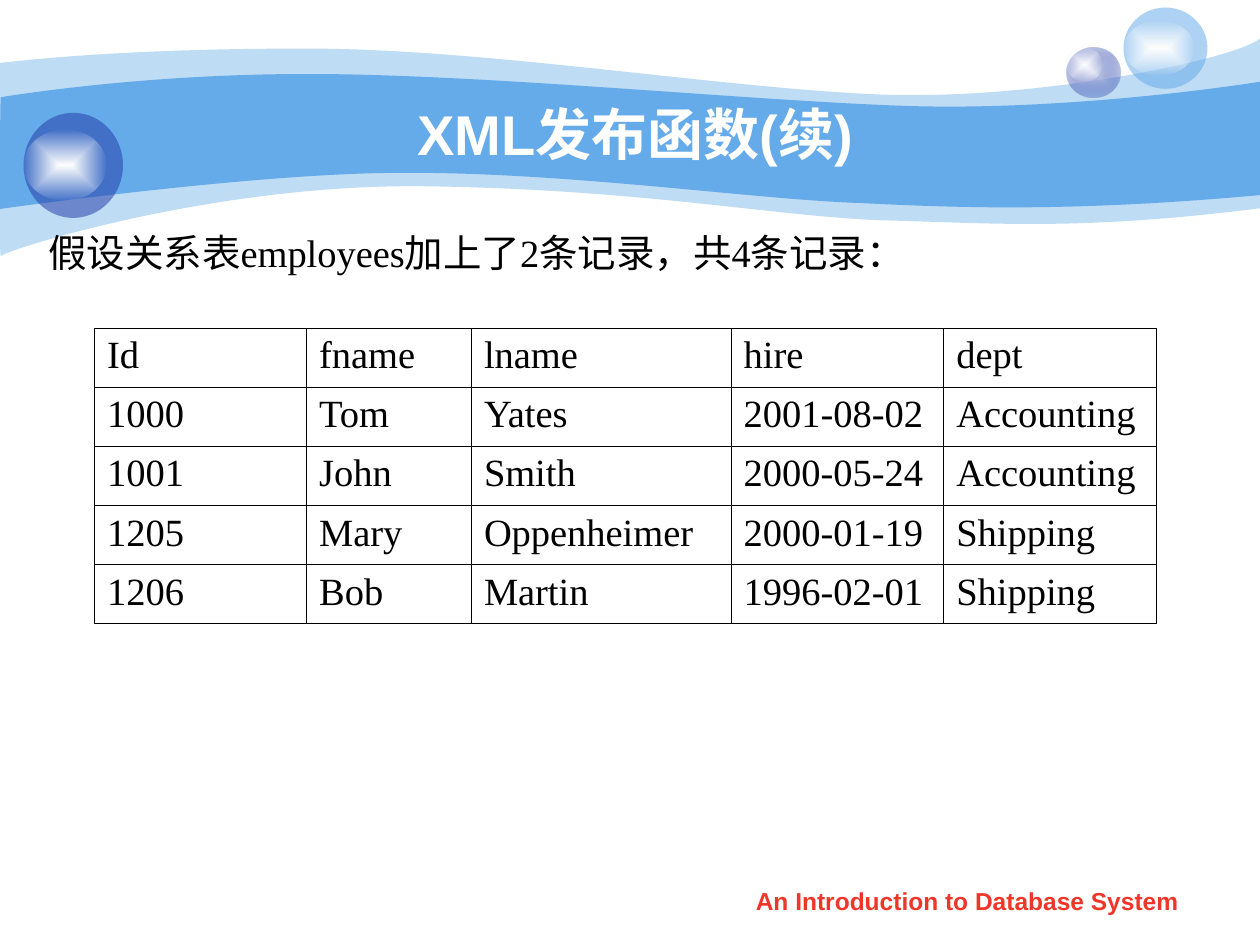
from dataclasses import dataclass

from lxml import etree
from pptx import Presentation
from pptx import util as u
from pptx.dml.color import RGBColor
from pptx.enum import shapes, text
from pptx.oxml.ns import qn

Pt = u.Pt
COLORS = {"sky": "65AAE9", "navy": "233DA9", "mist": "C7CEE9",
          "white": "FFFFFF", "black": "000000", "red": "F03628"}
SERIF, SANS = "Times New Roman", "Arial"


@dataclass(frozen=True)
class Wave:
    start: tuple
    segments: tuple
    alpha: int


@dataclass(frozen=True)
class Ball:
    box: tuple
    stops: tuple


@dataclass(frozen=True)
class Label:
    words: str
    box: tuple
    size: float
    font: str
    color: str
    bold: bool = True
    align: text.PP_ALIGN = text.PP_ALIGN.CENTER
    anchor: text.MSO_ANCHOR = text.MSO_ANCHOR.MIDDLE
    wrap: bool = True


GLOW = (("white", 100), ("white", 0))
WAVES = (
    Wave((0, 36), (
        ((17, 34), (77, 27.5), (178, 27.8)), ((278, 28), (414, 50.5), (503, 54)),
        ((592, 57.5), (706, 34), (720, 22)), ((720, 119),),
        ((618, 132), (567, 127.5), (508, 126)), ((448, 124.5), (371, 108.5), (247, 106.5)),
        ((124, 104), (3, 143), (0.5, 146.3)), ((-0.5, 149.8), (0, 54), (0, 36))), 41),
    Wave((0.5, 55.5), (
        ((1.5, 55.5), (79, 42), (178.5, 42.3)), ((278, 42.5), (428, 57.5), (517, 60.5)),
        ((605.5, 63.5), (703, 49.5), (720, 46.7)), ((720, 111.5),),
        ((614, 121), (551, 119), (491, 116)), ((431, 114), (322, 98), (228, 98.8)),
        ((146, 98.8), (-1.5, 119.5), (-0.5, 119.5)), ((0, 119.5), (0, 55.5), (0.5, 55.5))), 100),
)
BALLS = (
    Ball((609.5, 27, 31, 29), (("mist", 100), ("navy", 31))),
    Ball((609.5, 27, 20.5, 19.5), GLOW),
    Ball((642, 4.3, 48, 46.5), (("sky", 53),)),
    Ball((642, 12, 40.3, 31), GLOW),
    Ball((13.5, 64.5, 56.8, 60), (("navy", 53),)),
    Ball((13.5, 74.2, 47.5, 40.3), GLOW),
)
LABELS = (
    Label("An Introduction to Database System", (410.8, 502.5, 284, 25), 14, SANS, "red",
          anchor=text.MSO_ANCHOR.TOP),
    Label("XML发布函数(续)", (72, 54, 582, 44.6), 32, SANS, "white"),
    Label("假设关系表employees加上了2条记录，共4条记录：", (20.6, 127, 535, 34), 22, SERIF,
          "black", False, text.PP_ALIGN.LEFT, wrap=False),
)
EMPLOYEES = (
    ("Id", "fname", "lname", "hire", "dept"),
    ("1000", "Tom", "Yates", "2001-08-02", "Accounting"),
    ("1001", "John", "Smith", "2000-05-24", "Accounting"),
    ("1205", "Mary", "Oppenheimer", "2000-01-19", "Shipping"),
    ("1206", "Bob", "Martin", "1996-02-01", "Shipping"),
)
COLUMN_WIDTHS = (121.2, 94.2, 148.4, 121.5, 121.5)
ROW_HEIGHT = 33.8


def rgb(name: str) -> RGBColor:
    return RGBColor.from_string(COLORS[name])


def paint(shape, stops: tuple) -> None:
    shape.shadow.inherit = False
    shape.line.fill.background()
    if len(stops) == 1:
        shape.fill.solid()
        shape.fill.fore_color.rgb = rgb(stops[0][0])
    else:
        shape.fill.gradient()
        for stop, (color, _) in zip(shape.fill.gradient_stops, stops):
            stop.color.rgb = rgb(color)
        gradient = shape._element.spPr.find(qn("a:gradFill"))
        gradient.remove(gradient.find(qn("a:lin")))
        focus = etree.SubElement(gradient, qn("a:path"), {"path": "rect"})
        etree.SubElement(focus, qn("a:fillToRect"), dict.fromkeys("ltrb", "50000"))
    for tint, (_, alpha) in zip(shape._element.spPr.iter(qn("a:srgbClr")), stops):
        if alpha < 100:
            etree.SubElement(tint, qn("a:alpha"), val=str(alpha * 1000))


def draw_wave(slide, wave: Wave) -> None:
    outline = slide.shapes.build_freeform(*(Pt(v) for v in wave.start))
    for segment in wave.segments:
        outline.add_line_segments([(Pt(x), Pt(y)) for x, y in segment], close=False)
    outline.add_line_segments([], close=True)
    ribbon = outline.convert_to_shape()
    steps = iter(list(ribbon._element.spPr.iter(qn("a:lnTo"))))
    for segment in wave.segments:
        group = [next(steps) for _ in segment]
        if len(group) == 3:
            curve = etree.Element(qn("a:cubicBezTo"))
            group[0].addprevious(curve)
            for step in group:
                curve.append(step[0])
                step.getparent().remove(step)
    paint(ribbon, (("sky", wave.alpha),))


def draw_ball(slide, ball: Ball) -> None:
    oval = slide.shapes.add_shape(shapes.MSO_SHAPE.OVAL, *(Pt(v) for v in ball.box))
    paint(oval, ball.stops)


def style(paragraph, size: float, font: str, color: str, bold: bool) -> None:
    paragraph.font.size = Pt(size)
    paragraph.font.name = font
    paragraph.font.bold = bold
    paragraph.font.color.rgb = rgb(color)


def draw_label(slide, label: Label) -> None:
    frame = slide.shapes.add_textbox(*(Pt(v) for v in label.box)).text_frame
    frame.word_wrap = label.wrap
    frame.vertical_anchor = label.anchor
    if not label.wrap:
        frame.auto_size = text.MSO_AUTO_SIZE.SHAPE_TO_FIT_TEXT
    paragraph = frame.paragraphs[0]
    paragraph.text = label.words
    paragraph.alignment = label.align
    style(paragraph, label.size, label.font, label.color, label.bold)


def border(cell) -> None:
    properties = cell._tc.get_or_add_tcPr()
    for index, side in enumerate(("lnL", "lnR", "lnT", "lnB")):
        edge = etree.Element(qn(f"a:{side}"), w=str(Pt(0.45)))
        solid = etree.SubElement(edge, qn("a:solidFill"))
        etree.SubElement(solid, qn("a:srgbClr"), val=COLORS["black"])
        properties.insert(index, edge)


def draw_employees(slide) -> None:
    table = slide.shapes.add_table(
        len(EMPLOYEES), len(COLUMN_WIDTHS), Pt(54), Pt(187.5),
        Pt(sum(COLUMN_WIDTHS)), Pt(ROW_HEIGHT * len(EMPLOYEES))).table
    table.first_row = table.horz_banding = False
    for column, width in zip(table.columns, COLUMN_WIDTHS):
        column.width = Pt(width)
    for row, record in zip(table.rows, EMPLOYEES):
        row.height = Pt(ROW_HEIGHT)
        for cell, value in zip(row.cells, record):
            cell.text = value
            cell.fill.background()
            border(cell)
            style(cell.text_frame.paragraphs[0], 22, SERIF, "black", False)


def main() -> None:
    """Build the slide on the employees table and save it."""
    deck = Presentation()
    deck.slide_width, deck.slide_height = Pt(720), Pt(540)
    slide = deck.slides.add_slide(deck.slide_layouts[6])
    for wave in WAVES:
        draw_wave(slide, wave)
    for ball in BALLS:
        draw_ball(slide, ball)
    for label in LABELS:
        draw_label(slide, label)
    draw_employees(slide)
    deck.save("out.pptx")


if __name__ == "__main__":
    main()
